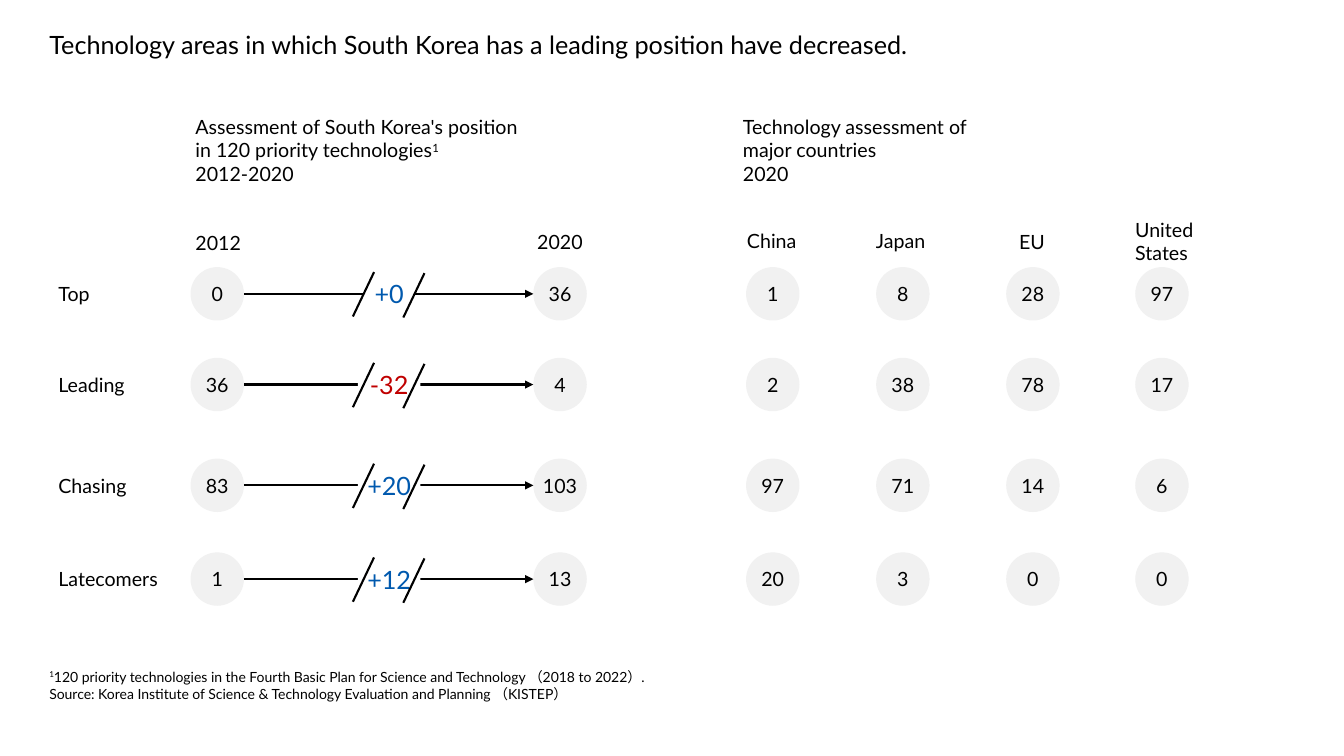
from lxml.etree import SubElement
from pptx import Presentation
from pptx.dml.color import RGBColor
from pptx.enum.shapes import MSO_CONNECTOR, MSO_SHAPE
from pptx.enum.text import MSO_ANCHOR, MSO_AUTO_SIZE, PP_ALIGN
from pptx.oxml.ns import qn
from pptx.util import Inches, Pt

BLACK = RGBColor(0x00, 0x00, 0x00)
WHITE = RGBColor(0xFF, 0xFF, 0xFF)
GREY = RGBColor(0xF1, 0xF1, 0xF1)
BLUE = RGBColor(0x00, 0x59, 0xAE)
RED = RGBColor(0xC0, 0x00, 0x00)
CIRCLE = 0.53

prs = Presentation()
prs.slide_width, prs.slide_height = Inches(13.33), Inches(7.5)
slide = prs.slides.add_slide(prs.slide_layouts[5])
shapes = slide.shapes


def write(shape, paragraphs, size=14, color=BLACK, align=PP_ALIGN.LEFT, wrap=False):
    """Fill a shape; each paragraph is a list of runs, and "^" marks a superscript."""
    frame = shape.text_frame
    frame.word_wrap = wrap
    frame.auto_size = MSO_AUTO_SIZE.NONE
    for i, runs in enumerate(paragraphs):
        paragraph = frame.paragraphs[0] if i == 0 else frame.add_paragraph()
        paragraph.alignment = align
        for text in runs:
            run = paragraph.add_run()
            run.text = text.removeprefix("^")
            run.font.name, run.font.size = "Lato", Pt(size)
            run.font.color.rgb = color
            if text.startswith("^"):
                run._r.get_or_add_rPr().set("baseline", "30000")


def add_line(x1, y1, x2, y2, arrow=False):
    line = shapes.add_connector(
        MSO_CONNECTOR.STRAIGHT, Inches(x1), Inches(y1), Inches(x2), Inches(y2))
    line.line.color.rgb, line.line.width = BLACK, Pt(1.5)
    if arrow:
        SubElement(line.line._get_or_add_ln(), qn("a:tailEnd"), type="triangle")
    SubElement(line._element.spPr, qn("a:effectLst"))


# Title
title = shapes.title
title.left, title.top = Inches(0.39), Inches(0.24)
title.width, title.height = Inches(12.38), Inches(0.4)
title.text_frame.vertical_anchor = MSO_ANCHOR.TOP
write(title, [["Technology areas in which South Korea has a leading position have decreased."]],
      size=18, wrap=True)

# Panel headings, column heads and footnotes: left, top, width, height, size, paragraphs
labels = [
    (1.84, 1.09, 3.56, 0.81, 14, [["Assessment of South Korea's position"],
                                  ["in 120 priority technologies", "^1"],
                                  ["2012-2020"]]),
    (7.27, 1.09, 2.57, 0.81, 14, [["Technology assessment of"], ["major countries"], ["2020"]]),
    (1.84, 2.24, 0.65, 0.34, 14, [["2012"]]),
    (5.23, 2.23, 0.65, 0.34, 14, [["2020"]]),
    (7.31, 2.22, 0.71, 0.34, 14, [["China"]]),
    (8.59, 2.22, 0.74, 0.34, 14, [["Japan"]]),
    (10.01, 2.23, 0.46, 0.34, 14, [["EU"]]),
    (11.16, 2.11, 0.81, 0.57, 14, [["United"], ["States"]]),
    (0.39, 6.58, 6.32, 0.44, 10, [
        ["^1", "120 priority technologies in the Fourth Basic Plan for Science and Technology "
               "（2018 to 2022）."],
        ["Source: Korea Institute of Science & Technology Evaluation and Planning （KISTEP）"]]),
]
for left, top, width, height, size, paragraphs in labels:
    box = shapes.add_textbox(Inches(left), Inches(top), Inches(width), Inches(height))
    write(box, paragraphs, size)

# Rows: name, circle top, change, change colour, values of the six columns
circle_lefts = [1.89, 5.29, 7.4, 8.69, 9.98, 11.26]
rows = [
    ("Top", 2.65, "+0", BLUE, [0, 36, 1, 8, 28, 97]),
    ("Leading", 3.55, "-32", RED, [36, 4, 2, 38, 78, 17]),
    ("Chasing", 4.55, "+20", BLUE, [83, 103, 97, 71, 14, 6]),
    ("Latecomers", 5.48, "+12", BLUE, [1, 13, 20, 3, 0, 0]),
]
for name, top, change, change_color, values in rows:
    middle = top + CIRCLE / 2
    row_label = shapes.add_textbox(Inches(0.48), Inches(top + 0.1), Inches(1.25), Inches(0.34))
    write(row_label, [[name]])

    # Circles with their values
    for left, value in zip(circle_lefts, values):
        circle = shapes.add_shape(
            MSO_SHAPE.OVAL, Inches(left), Inches(top), Inches(CIRCLE), Inches(CIRCLE))
        circle.shadow.inherit = False
        circle.fill.solid()
        circle.fill.fore_color.rgb = GREY
        circle.line.fill.background()
        write(circle, [[str(value)]], align=PP_ALIGN.CENTER)

    # Arrow from 2012 to 2020, broken by the change
    add_line(circle_lefts[0] + CIRCLE, middle, circle_lefts[1], middle, arrow=True)
    width = 0.5 if len(change) == 2 else 0.62
    gap = shapes.add_shape(MSO_SHAPE.RECTANGLE, Inches(3.86 - width / 2), Inches(middle - 0.2),
                           Inches(width), Inches(0.4))
    gap.shadow.inherit = False
    gap.fill.solid()
    gap.fill.fore_color.rgb = WHITE
    gap.line.fill.background()
    write(gap, [[change]], 18, change_color, PP_ALIGN.CENTER)
    add_line(4.21, top + 0.06, 4, top + 0.5)
    add_line(3.71, top + 0.05, 3.5, top + 0.49)

prs.save("out.pptx")
